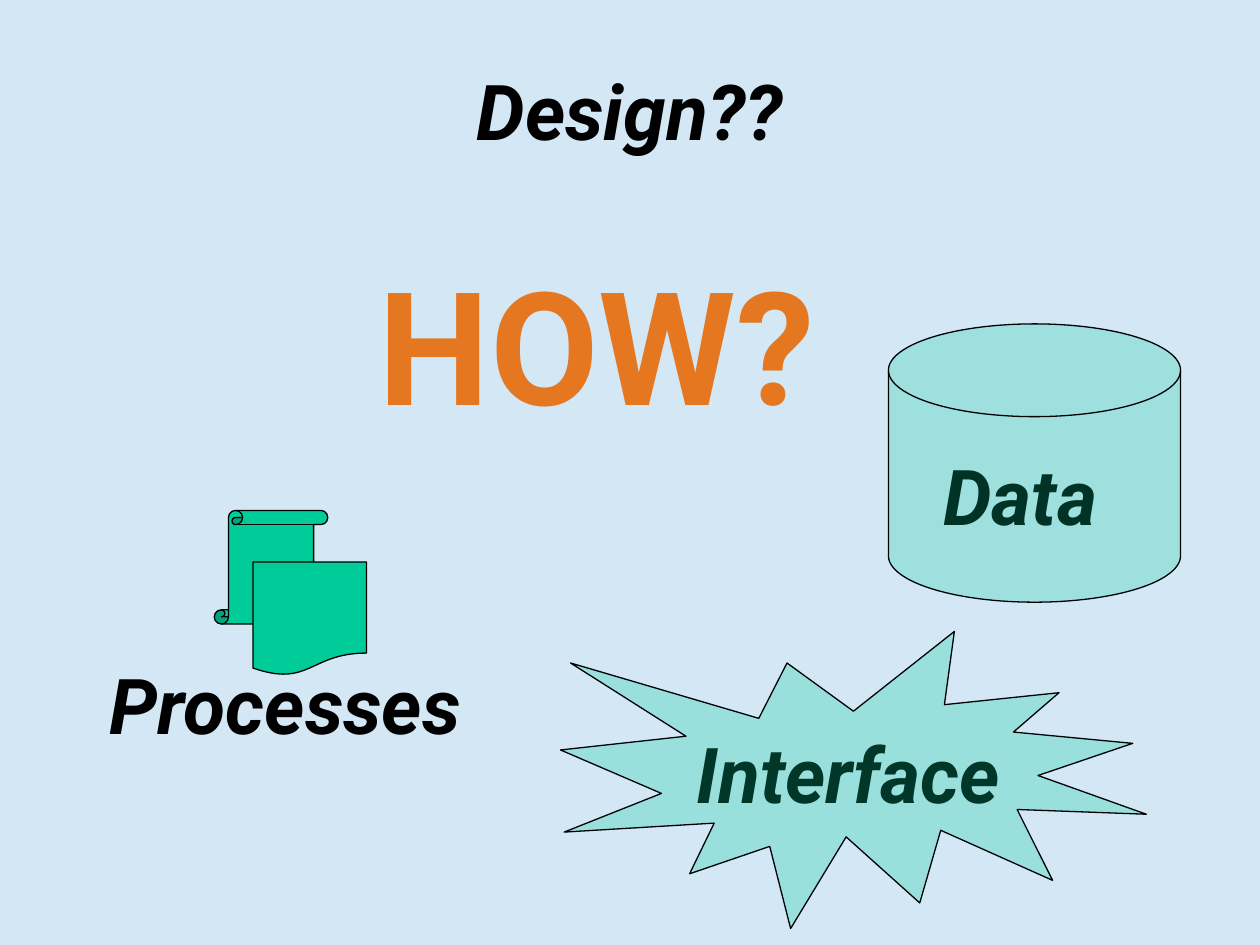
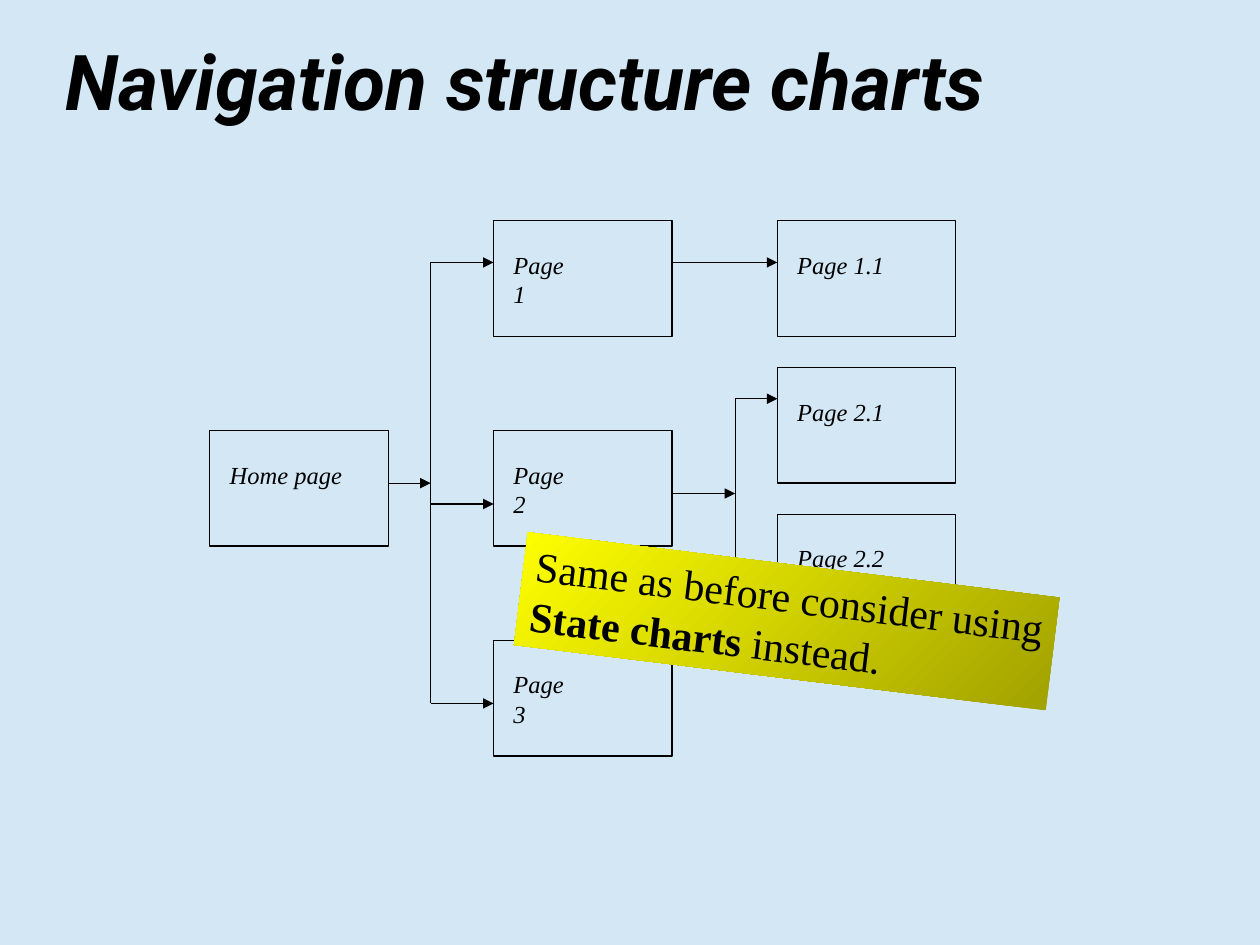
from lxml import etree
from pptx import Presentation
from pptx.dml.color import RGBColor
from pptx.enum.shapes import MSO_CONNECTOR, MSO_SHAPE
from pptx.enum.text import MSO_ANCHOR, MSO_AUTO_SIZE, PP_ALIGN
from pptx.oxml.ns import qn
from pptx.util import Cm, Pt

STRAIGHT = MSO_CONNECTOR.STRAIGHT
RECTANGLE = MSO_SHAPE.RECTANGLE
DISK = MSO_SHAPE.FLOWCHART_MAGNETIC_DISK
SCROLL = MSO_SHAPE.VERTICAL_SCROLL
DOCUMENT = MSO_SHAPE.FLOWCHART_DOCUMENT
BURST = MSO_SHAPE.EXPLOSION1
TOP, MIDDLE = MSO_ANCHOR.TOP, MSO_ANCHOR.MIDDLE
LEFT, CENTER = PP_ALIGN.LEFT, PP_ALIGN.CENTER
FIT_SHAPE, NO_FIT = MSO_AUTO_SIZE.SHAPE_TO_FIT_TEXT, MSO_AUTO_SIZE.NONE

SKY = RGBColor(0xD3, 0xE7, 0xF5)
BLACK = RGBColor(0, 0, 0)
ORANGE = RGBColor(0xE5, 0x77, 0x21)
GREEN = RGBColor(0x00, 0xCC, 0x99)
OLIVE = RGBColor(0xA0, 0xA0, 0x00)
YELLOW = RGBColor(0xFF, 0xFF, 0x00)
HEADING_FONT, BODY_FONT = "Roboto", "Times New Roman"
LINE_WIDTH = Pt(0.75)

# All places are in centimetres: left, top, width, height.
DESIGN_TITLE = ("Design??", (1.9, 0.84, 21.59, 2.74), CENTER)
DESIGN_WORDS = [  # text, place, size, colour, italic
    ("HOW?", (7.39, 4.88, 10.03, 4.06), 90, ORANGE, False),
    ("Processes", (1.96, 13.13, 7.7, 2.13), 44, BLACK, True),
    ("Data", (18.77, 8.92, 4.04, 2.13), 44, BLACK, True),
    ("Interface", (13.79, 14.53, 7.32, 2.13), 44, BLACK, True),
]
DESIGN_SHAPES = [  # preset, place, opacity in percent
    (DISK, (17.91, 6.53, 5.89, 5.61), 25),
    (SCROLL, (4.32, 10.29, 2.29, 2.29), 100),
    (DOCUMENT, (5.1, 11.33, 2.29, 2.29), 100),
    (BURST, (11.3, 12.73, 11.81, 5.99), 27),
]

NAVIGATION_TITLE = ("Navigation structure charts", (1.07, 0.43, 24.33, 2.34), LEFT)
BOX_WIDTH, BOX_HEIGHT = 3.6, 2.33
COLUMNS = [4.23 + 5.72 * column for column in range(3)]
PAGES = [  # name, column, top, label width
    ("Home page", 0, 8.68, 2.77),
    ("Page 2", 1, 8.68, 1.88),
    ("Page 3", 1, 12.91, 1.88),
    ("Page 1", 1, 4.45, 1.88),
    ("Page 1.1", 2, 4.45, 2.26),
    ("Page 2.1", 2, 7.41, 2.26),
    ("Page 2.2", 2, 10.37, 2.26),
]
BRANCHES = [  # parent column, exit height, trunk left, heights of the children
    (0, 9.74, 8.68, (5.29, 10.16, 14.18)),
    (1, 9.95, 14.82, (8.04, 11.85)),
]
DIRECT_LINK_HEIGHT = 5.29
NOTE_PLACE = (10.46, 11.38, 10.8, 2.29)
NOTE = [  # paragraphs of (text, bold)
    [("Same as before consider using", False)],
    [("State charts", True), (" instead.", False)],
]


def lengths(place):
    return [Cm(value) for value in place]


def style(font, name, size, color=BLACK, bold=False, italic=False):
    font.name, font.size = name, Pt(size)
    font.bold, font.italic = bold, italic
    font.color.rgb = color


def add_page(deck, text, place, alignment):
    """Add a slide with its title placed and formatted."""
    page = deck.slides.add_slide(deck.slide_layouts[5])
    title = page.shapes.title
    title.left, title.top, title.width, title.height = lengths(place)
    frame = title.text_frame
    frame.text = text
    frame.auto_size = NO_FIT
    frame.vertical_anchor = MIDDLE
    para = frame.paragraphs[0]
    para.alignment = alignment
    style(para.runs[0].font, HEADING_FONT, 44, bold=True, italic=True)
    return page


def add_label(shapes, text, place, **look):
    frame = shapes.add_textbox(*lengths(place)).text_frame
    frame.text = text
    frame.word_wrap = False
    frame.auto_size = FIT_SHAPE
    style(frame.paragraphs[0].runs[0].font, **look)


def add_outlined(shapes, preset, place):
    shape = shapes.add_shape(preset, *lengths(place))
    shape.shadow.inherit = False
    shape.line.color.rgb = BLACK
    shape.line.width = LINE_WIDTH
    return shape


def fill_green(shape, opacity):
    shape.fill.solid()
    shape.fill.fore_color.rgb = GREEN
    if opacity < 100:
        color = shape.fill._xPr.find(qn("a:solidFill"))[0]
        etree.SubElement(color, qn("a:alpha"), val=str(opacity * 1000))


def add_line(page, left, top, right, bottom, arrow=False):
    line = page.shapes.add_connector(STRAIGHT, *lengths((left, top, right, bottom)))
    line.line.color.rgb = BLACK
    line.line.width = LINE_WIDTH
    if arrow:
        etree.SubElement(line.line._get_or_add_ln(), qn("a:tailEnd"), type="triangle")
    etree.SubElement(line._element.spPr, qn("a:effectLst"))


def add_page_box(page, name, column, top, label_width):
    """Group an outlined box with its page name."""
    left = COLUMNS[column]
    shapes = page.shapes.add_group_shape().shapes
    box = add_outlined(shapes, RECTANGLE, (left, top, BOX_WIDTH, BOX_HEIGHT))
    box.fill.background()
    add_label(shapes, name, (left + 0.15, top + 0.46, label_width, 0.86),
              name=BODY_FONT, size=14, italic=True)


def add_branch(page, column, exit_height, trunk, heights):
    """Draw an arrow to a vertical trunk and one arrow to each child."""
    add_line(page, COLUMNS[column] + BOX_WIDTH, exit_height, trunk, exit_height, arrow=True)
    add_line(page, trunk, heights[0], trunk, heights[-1])
    for height in heights:
        add_line(page, trunk, height, COLUMNS[column + 1], height, arrow=True)


def add_note(page):
    note = page.shapes.add_shape(RECTANGLE, *lengths(NOTE_PLACE))
    note.rotation = 7
    note.shadow.inherit = False
    note.line.fill.background()
    note.fill.gradient()
    note.fill.gradient_angle = 142
    for stop, color in zip(note.fill.gradient_stops, (OLIVE, YELLOW)):
        stop.color.rgb = color
    frame = note.text_frame
    frame.word_wrap = True
    frame.auto_size = FIT_SHAPE
    frame.vertical_anchor = TOP
    for number, spans in enumerate(NOTE):
        para = frame.add_paragraph() if number else frame.paragraphs[0]
        para.alignment = LEFT
        for text, bold in spans:
            span = para.add_run()
            span.text = text
            style(span.font, BODY_FONT, 24, bold=bold)


def build_design(deck):
    page = add_page(deck, *DESIGN_TITLE)
    for text, place, size, color, italic in DESIGN_WORDS:
        add_label(page.shapes, text, place, name=HEADING_FONT, size=size,
                  color=color, bold=True, italic=italic)
    for preset, place, opacity in DESIGN_SHAPES:
        fill_green(add_outlined(page.shapes, preset, place), opacity)


def build_navigation(deck):
    page = add_page(deck, *NAVIGATION_TITLE)
    for entry in PAGES:
        add_page_box(page, *entry)
    for branch in BRANCHES:
        add_branch(page, *branch)
    add_line(page, COLUMNS[1] + BOX_WIDTH, DIRECT_LINK_HEIGHT,
             COLUMNS[2], DIRECT_LINK_HEIGHT, arrow=True)
    add_note(page)


def main():
    deck = Presentation()
    deck.slide_width, deck.slide_height = Cm(25.4), Cm(19.05)
    background = deck.slide_master.background.fill
    background.solid()
    background.fore_color.rgb = SKY
    build_design(deck)
    build_navigation(deck)
    deck.save("out.pptx")


if __name__ == "__main__":
    main()
